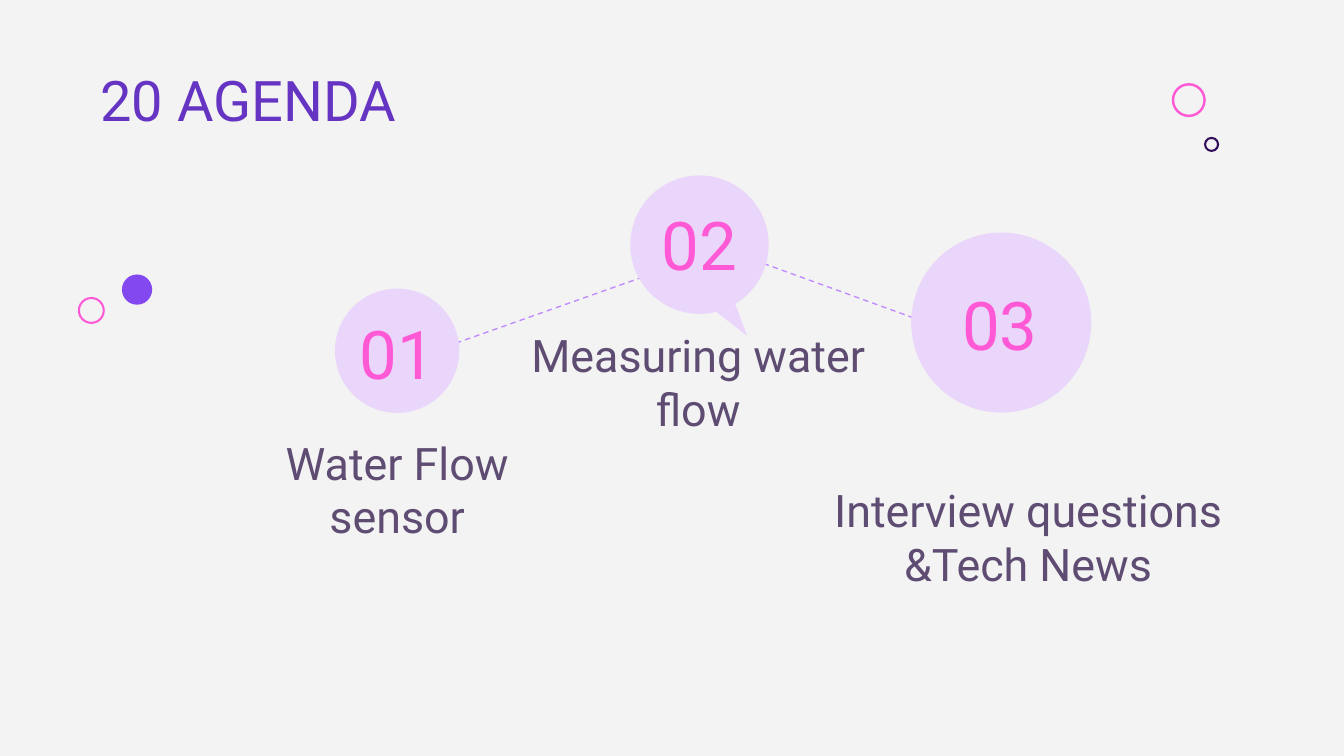
import math

import pptx
import pptx.dml.color
import pptx.enum.dml
import pptx.enum.shapes
import pptx.enum.text
import pptx.oxml.ns
import pptx.util

WIDTH, HEIGHT = pptx.util.Inches(10), pptx.util.Inches(5.625)
COLORS = {
    "background": "F3F3F3",
    "heading": "6634C3",
    "caption": "5E4C72",
    "pink": "FF59D6",
    "navy": "300D59",
    "violet": "8348F0",
    "bubble": "EAD5FB",
    "path": "C08CFF",
}
ALIGN = pptx.enum.text.PP_ALIGN
ANCHOR = pptx.enum.text.MSO_ANCHOR

# Number, bubble (centre x, centre y, diameter), number box, caption, caption box
TOPICS = [
    ("01", (29.55, 46.4, 9.25), (25.6, 41.07, 7.9, 11.2),
     "Water Flow sensor", (15.5, 57.07, 28.1, 16.53)),
    ("02", (52.05, 32.36, 10.3), (44.8, 26.67, 14.5, 11.2),
     "Measuring water flow", (36.8, 46.76, 30.3, 12.62)),
    ("03", (74.5, 42.67, 13.4), (67.8, 37.16, 13.2, 11.2),
     "Interview questions &Tech News", (61, 62.76, 31, 17.07)),
]
TOPIC_WITH_TAIL = "02"


def across(percent):
    return round(WIDTH * percent / 100)


def down(percent):
    return round(HEIGHT * percent / 100)


def rgb(name):
    return pptx.dml.color.RGBColor.from_string(COLORS[name])


def paint(shape, fill=None, line=None, weight=1):
    shape.shadow.inherit = False
    if fill:
        shape.fill.solid()
        shape.fill.fore_color.rgb = rgb(fill)
    else:
        shape.fill.background()
    if line:
        shape.line.color.rgb = rgb(line)
        shape.line.width = pptx.util.Pt(weight)
    else:
        shape.line.fill.background()


def add_circle(slide, center_x, center_y, diameter, **colors):
    """Centre in percent of each slide side, diameter in percent of the width."""
    size = across(diameter)
    circle = slide.shapes.add_shape(
        pptx.enum.shapes.MSO_SHAPE.OVAL,
        across(center_x) - size // 2, down(center_y) - size // 2, size, size)
    paint(circle, **colors)


def add_speech_bubble(slide, center_x, center_y, diameter, **colors):
    """Circle whose outline opens at the lower right into a pointed tail."""
    def point(degrees, reach=1):
        radius = across(diameter) / 2 * reach
        angle = math.radians(degrees)
        return (round(across(center_x) + radius * math.cos(angle)),
                round(down(center_y) + radius * math.sin(angle)))

    outline = slide.shapes.build_freeform(*point(76))
    rim = [point(degrees) for degrees in range(79, 420, 4)]
    outline.add_line_segments(rim + [point(62.4, 1.49)], close=True)
    paint(outline.convert_to_shape(), **colors)


def add_dashed_path(slide, start, end):
    path = slide.shapes.add_connector(
        pptx.enum.shapes.MSO_CONNECTOR.STRAIGHT,
        across(start[0]), down(start[1]), across(end[0]), down(end[1]))
    path.line.color.rgb = rgb("path")
    path.line.width = pptx.util.Pt(0.75)
    path.line.dash_style = pptx.enum.dml.MSO_LINE.DASH
    properties = path._element.spPr
    properties.append(properties.makeelement(pptx.oxml.ns.qn("a:effectLst"), {}))


def add_text(slide, text, box, size, color, align=ALIGN.CENTER, anchor=ANCHOR.MIDDLE):
    left, top, width, height = box
    frame = slide.shapes.add_textbox(
        across(left), down(top), across(width), down(height)).text_frame
    frame.word_wrap = True
    frame.vertical_anchor = anchor
    frame.margin_left = frame.margin_right = pptx.util.Inches(0.1)
    frame.margin_top = frame.margin_bottom = pptx.util.Inches(0.1)
    paragraph = frame.paragraphs[0]
    paragraph.alignment = align
    run = paragraph.add_run()
    run.text = text
    run.font.name = "Roboto"
    run.font.size = pptx.util.Pt(size)
    run.font.color.rgb = rgb(color)


def add_decorations(slide):
    add_circle(slide, 88.45, 13.24, 2.35, line="pink", weight=1.3)
    add_circle(slide, 90.15, 19.11, 0.97, line="navy", weight=1.1)
    add_circle(slide, 10.2, 38.31, 2.25, fill="violet")
    add_circle(slide, 6.8, 41.07, 1.85, line="pink", weight=1.1)


def main():
    deck = pptx.Presentation()
    deck.slide_width, deck.slide_height = WIDTH, HEIGHT
    slide = deck.slides.add_slide(deck.slide_layouts[6])
    slide.background.fill.solid()
    slide.background.fill.fore_color.rgb = rgb("background")

    add_decorations(slide)
    add_dashed_path(slide, (52.1, 31.82), (73.9, 45.87))
    add_dashed_path(slide, (29.2, 48.36), (52.4, 33.78))
    add_text(slide, "20 AGENDA", (6.5, 6.93, 73.6, 12.62), 30, "heading",
             align=ALIGN.LEFT, anchor=ANCHOR.TOP)

    for number, bubble, number_box, caption, caption_box in TOPICS:
        add_bubble = add_speech_bubble if number == TOPIC_WITH_TAIL else add_circle
        add_bubble(slide, *bubble, fill="bubble")
        add_text(slide, number, number_box, 36, "pink")
        add_text(slide, caption, caption_box, 24, "caption", anchor=ANCHOR.BOTTOM)

    deck.save("out.pptx")


if __name__ == "__main__":
    main()
